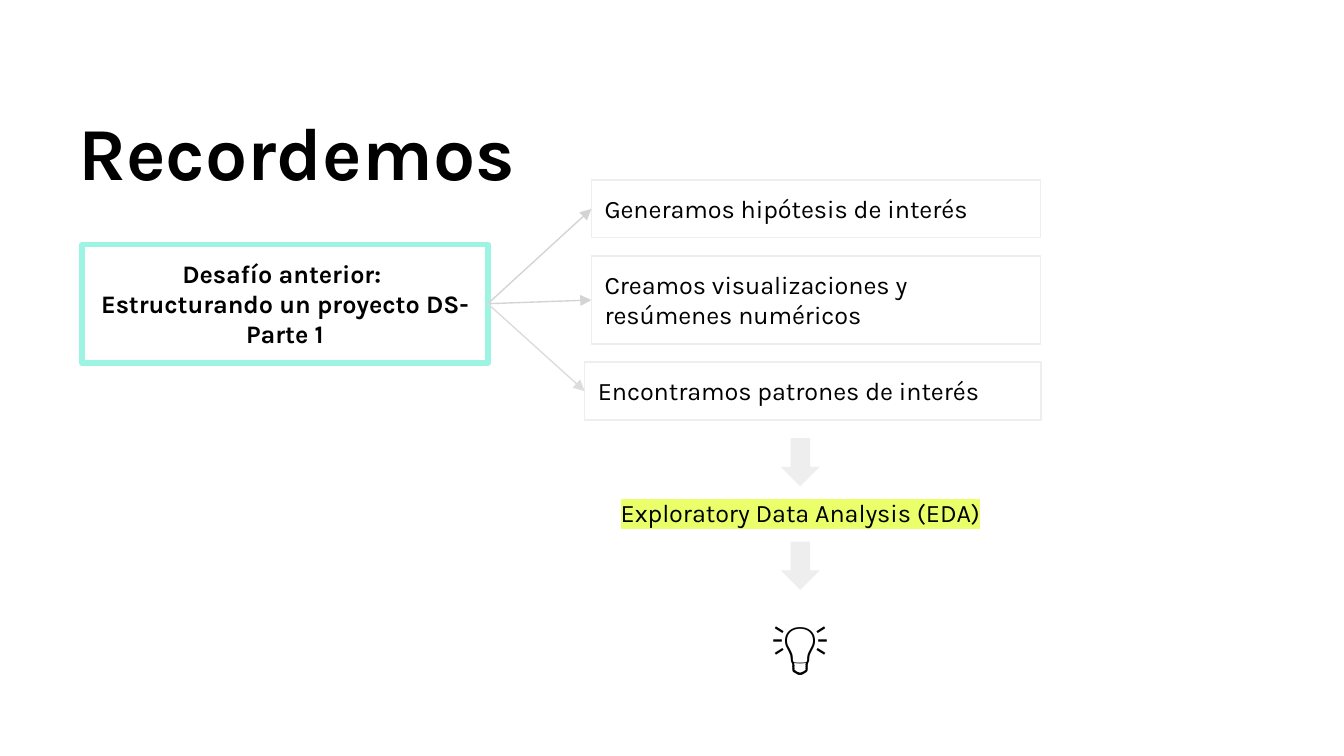
from dataclasses import dataclass

from lxml import etree
from pptx import Presentation
from pptx.dml.color import RGBColor
from pptx.enum.shapes import MSO_CONNECTOR, MSO_SHAPE
from pptx.enum.text import MSO_ANCHOR, PP_ALIGN
from pptx.oxml.ns import qn
from pptx.shapes.autoshape import Shape
from pptx.slide import Slide
from pptx.util import Inches, Pt

RECT = MSO_SHAPE.RECTANGLE
DOWN = MSO_SHAPE.DOWN_ARROW
STRAIGHT = MSO_CONNECTOR.STRAIGHT
TOP, MIDDLE = MSO_ANCHOR.TOP, MSO_ANCHOR.MIDDLE
LEFT, CENTER = PP_ALIGN.LEFT, PP_ALIGN.CENTER
LEFT_SIDE, RIGHT_SIDE = 1, 3

WIDTH = Inches(10)
HEIGHT = WIDTH * 9 // 16
CELL = WIDTH / 100
FONT = "Karla"
BLACK, GRAY, MINT, LIME = "000000", "EEEEEE", "9DF4E2", "EAFF6A"


@dataclass(frozen=True)
class Area:
    col: float
    row: float
    cols: float
    rows: float

    def place(self) -> list[int]:
        return [round(n * CELL) for n in (self.col, self.row, self.cols, self.rows)]


@dataclass(frozen=True)
class Step:
    text: str
    area: Area
    link: str


START = Area(6.1, 18.2, 30.2, 8.8)
STEPS = (
    Step("Generamos hipótesis de interés", Area(44, 13.4, 33.45, 4.3), "D4D4D4"),
    Step("Creamos visualizaciones y resúmenes numéricos", Area(44, 19.05, 33.45, 6.55), "D4D4D4"),
    Step("Encontramos patrones de interés", Area(43.5, 26.95, 33.95, 4.3), "DCDCDC"),
)
ARROWS = tuple(Area(58.1, row, 2.9, 3.6) for row in (32.6, 40.3))


def paint(code: str) -> RGBColor:
    return RGBColor.from_string(code)


def write(shape: Shape, *lines: str, size: float = 13.5, bold: bool = False,
          align: PP_ALIGN = LEFT, anchor: MSO_ANCHOR = TOP,
          space: float = 1.0, mark: str = "") -> None:
    frame = shape.text_frame
    frame.word_wrap = True
    frame.vertical_anchor = anchor
    frame.margin_left = frame.margin_right = Inches(0.1)
    frame.margin_top = frame.margin_bottom = Inches(0.1)
    for index, line in enumerate(lines):
        para = frame.add_paragraph() if index else frame.paragraphs[0]
        para.alignment = align
        para.line_spacing = space
        run = para.add_run()
        run.text = line
        font = run.font
        font.name, font.size, font.bold = FONT, Pt(size), bold
        font.color.rgb = paint(BLACK)
        if mark:
            glow = etree.Element(qn("a:highlight"))
            etree.SubElement(glow, qn("a:srgbClr"), val=mark)
            run._r.rPr.find(qn("a:solidFill")).addnext(glow)


def draw_box(slide: Slide, area: Area, edge: str, weight: float) -> Shape:
    box = slide.shapes.add_shape(RECT, *area.place())
    box.shadow.inherit = False
    box.fill.background()
    box.line.color.rgb = paint(edge)
    box.line.width = Pt(weight)
    return box


def draw_arrow(slide: Slide, area: Area) -> None:
    arrow = slide.shapes.add_shape(DOWN, *area.place())
    arrow.shadow.inherit = False
    arrow.fill.solid()
    arrow.fill.fore_color.rgb = paint(GRAY)
    arrow.line.fill.background()


def join(slide: Slide, start: Shape, end: Shape, code: str) -> None:
    link = slide.shapes.add_connector(STRAIGHT, 0, 0, 0, 0)
    link.begin_connect(start, RIGHT_SIDE)
    link.end_connect(end, LEFT_SIDE)
    link.line.color.rgb = paint(code)
    link.line.width = Pt(0.75)
    etree.SubElement(link.line._get_or_add_ln(), qn("a:tailEnd"), type="triangle")
    etree.SubElement(link._element.spPr, qn("a:effectLst"))


def add_text(slide: Slide, area: Area) -> Shape:
    return slide.shapes.add_textbox(*area.place())


def main() -> None:
    deck = Presentation()
    deck.slide_width, deck.slide_height = WIDTH, HEIGHT
    slide = deck.slides.add_slide(deck.slide_layouts[6])

    write(add_text(slide, Area(4.85, 5.9, 76.2, 10.8)), "Recordemos",
          size=40, bold=True, space=1.15)
    start = draw_box(slide, START, MINT, 3)
    write(start, "Desafío anterior: ", "Estructurando un proyecto DS- Parte 1",
          bold=True, align=CENTER)
    for step in STEPS:
        box = draw_box(slide, step.area, GRAY, 0.75)
        write(box, step.text)
        join(slide, start, box, step.link)
    for area in ARROWS:
        draw_arrow(slide, area)
    write(add_text(slide, Area(41.45, 35.9, 36.2, 4.4)),
          "Exploratory Data Analysis (EDA)", align=CENTER, anchor=MIDDLE, mark=LIME)
    write(add_text(slide, Area(43.15, 44.4, 32.8, 7.1)), "💡", size=30, align=CENTER)

    deck.save("out.pptx")


if __name__ == "__main__":
    main()
